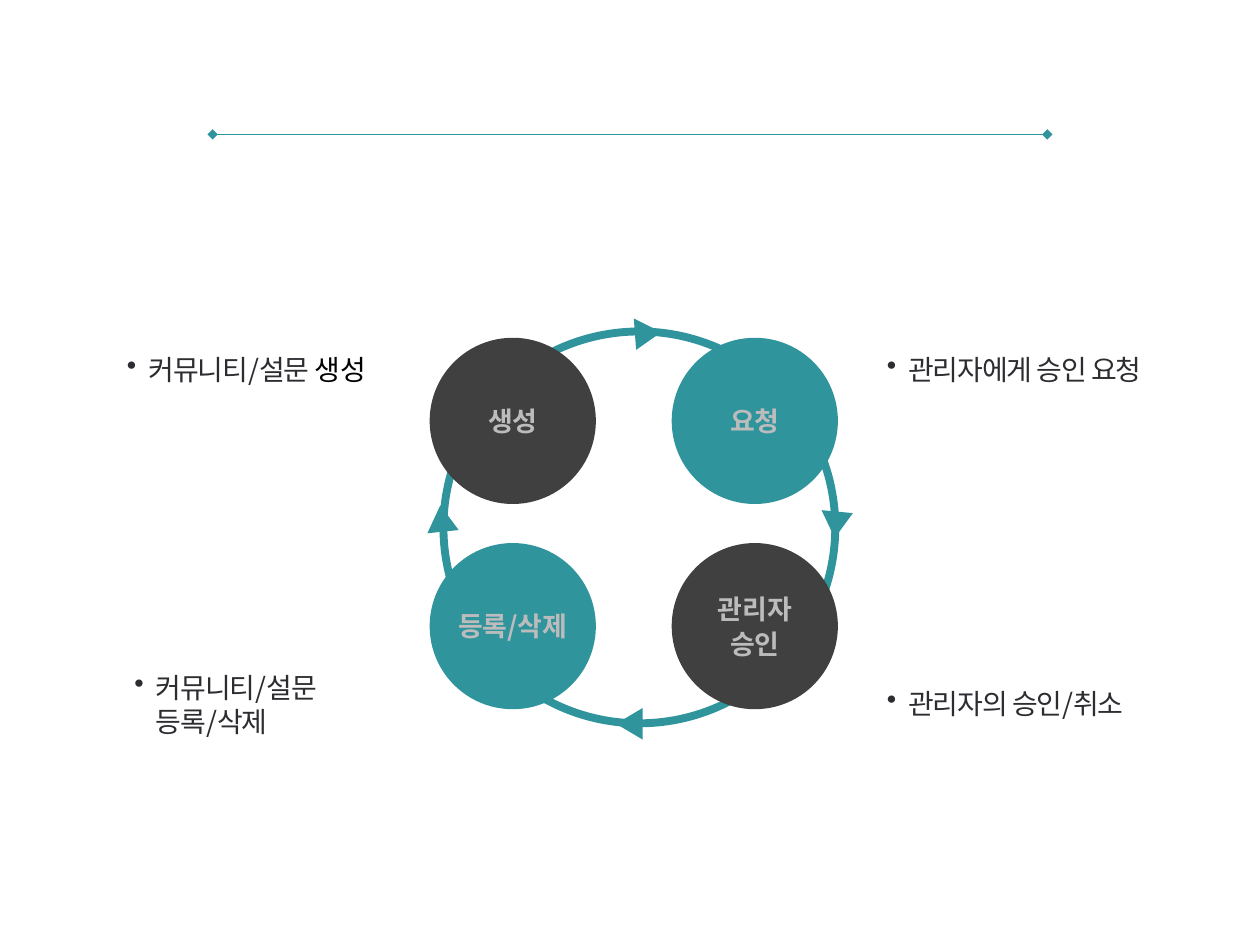
from lxml.etree import SubElement
from pptx import Presentation
from pptx.dml.color import RGBColor
from pptx.enum.shapes import MSO_CONNECTOR, MSO_SHAPE
from pptx.enum.text import MSO_ANCHOR, PP_ALIGN
from pptx.oxml.ns import qn
from pptx.util import Pt

FONT = "Noto Sans CJK KR"
TEAL = RGBColor(0x30, 0x94, 0x9C)
DARK = RGBColor(0x40, 0x40, 0x40)
SILVER = RGBColor(0xBC, 0xBC, 0xBC)
INK = RGBColor(0x2D, 0x2D, 0x31)
BLACK = RGBColor(0, 0, 0)

# Steps as (column, row, fill, lines)
STEPS = [
    (0, 0, DARK, ["생성"]),
    (1, 0, TEAL, ["요청"]),
    (0, 1, TEAL, ["등록/삭제"]),
    (1, 1, DARK, ["관리자", "승인"]),
]
STEP_X, STEP_Y, STEP_SIZE = (245.5, 383.8), (193, 310.3), 95

# Notes as (left, top, width, runs); a run is (text, colour, spacing in 1/100 pt)
NOTES = [
    (499.7, 328.3, 182.9, [("관리자의 승인/취소", INK, -60)]),
    (69.8, 329, 194.4, [("커뮤니티/설문\v등록/삭제", INK, -60)]),
    (499.7, 137.5, 182.9, [("관리자에게 승인 요청", INK, -60)]),
    (65.5, 137.5, 177.8, [("커뮤니티/설문 ", INK, -60), ("생성", BLACK, 0)]),
]
NOTE_HEIGHT, NOTE_INDENT = 146.9, 12.25

# Arrowheads on the ring as (centre x, centre y, rotation)
ARROWS = [(370.4, 190.4, 85.8), (477.7, 299.9, 185.4),
          (359.6, 413.6, 270), (252.4, 296.3, 354.2)]
ARROW_W, ARROW_H = 18, 15.1


def add_shape(kind, x, y, w, h, fill=None):
    sp = s.shapes.add_shape(kind, Pt(x), Pt(y), Pt(w), Pt(h))
    sp.shadow.inherit = False
    if fill is None:
        sp.fill.background()
    else:
        sp.fill.solid()
        sp.fill.fore_color.rgb = fill
        sp.line.fill.background()
    return sp


def style(r, size, color, bold=False):
    r.font.size, r.font.bold, r.font.name = Pt(size), bold, FONT
    r.font.color.rgb = color
    SubElement(r.font._element, qn("a:ea"), typeface=FONT)


def add_bullet(p):
    pPr = p._p.get_or_add_pPr()
    pPr.set("marL", str(Pt(NOTE_INDENT)))
    pPr.set("indent", str(-Pt(NOTE_INDENT)))
    clr = SubElement(pPr, qn("a:buClr"))
    SubElement(clr, qn("a:srgbClr"), val=str(INK))
    SubElement(pPr, qn("a:buChar"), char="•")


prs = Presentation()
prs.slide_width, prs.slide_height = Pt(720), Pt(540)
s = prs.slides.add_slide(prs.slide_layouts[6])

rule = s.shapes.add_connector(MSO_CONNECTOR.STRAIGHT, Pt(121.5), Pt(76.8), Pt(598.5), Pt(76.8))
rule.line.color.rgb, rule.line.width = TEAL, Pt(0.75)
ln = rule.line._get_or_add_ln()
for end in ("a:headEnd", "a:tailEnd"):
    SubElement(ln, qn(end), type="diamond")
SubElement(rule._element.spPr, qn("a:effectLst"))

ring = add_shape(MSO_SHAPE.OVAL, 253.4, 189.4, 223.9, 223.9)
ring.line.color.rgb, ring.line.width = TEAL, Pt(4.5)

for col, row, fill, lines in STEPS:
    sp = add_shape(MSO_SHAPE.OVAL, STEP_X[col], STEP_Y[row], STEP_SIZE, STEP_SIZE, fill)
    tf = sp.text_frame
    tf.word_wrap, tf.vertical_anchor = False, MSO_ANCHOR.MIDDLE
    tf.text = "\n".join(lines)
    for i, p in enumerate(tf.paragraphs):
        p.alignment = PP_ALIGN.CENTER
        if i:
            p.space_before = Pt(1.7)
        style(p.runs[0], 15.4, SILVER, bold=True)

for x, y, w, runs in NOTES:
    tf = s.shapes.add_textbox(Pt(x), Pt(y), Pt(w), Pt(NOTE_HEIGHT)).text_frame
    tf.word_wrap, tf.vertical_anchor = True, MSO_ANCHOR.MIDDLE
    p = tf.paragraphs[0]
    add_bullet(p)
    for text, color, spacing in runs:
        first = len(p.runs)
        for i, part in enumerate(text.split("\v")):
            if i:
                p.add_line_break()
            p.add_run().text = part
        for r in p.runs[first:]:
            style(r, 16, color)
            r.font._element.set("spc", str(spacing))

for x, y, angle in ARROWS:
    arrow = add_shape(MSO_SHAPE.ISOSCELES_TRIANGLE, x - ARROW_W / 2, y - ARROW_H / 2,
                      ARROW_W, ARROW_H, TEAL)
    arrow.rotation = angle

prs.save("out.pptx")
